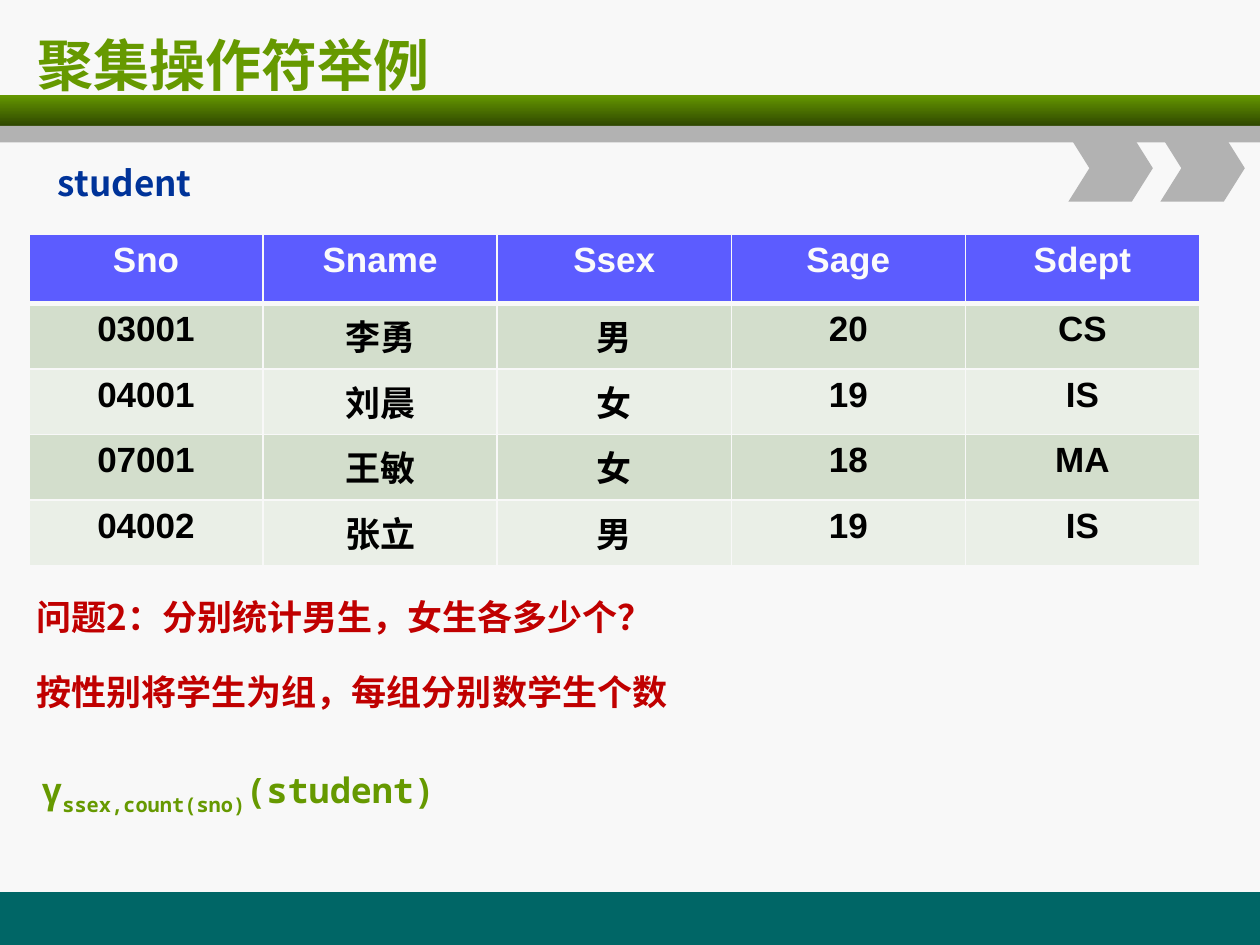
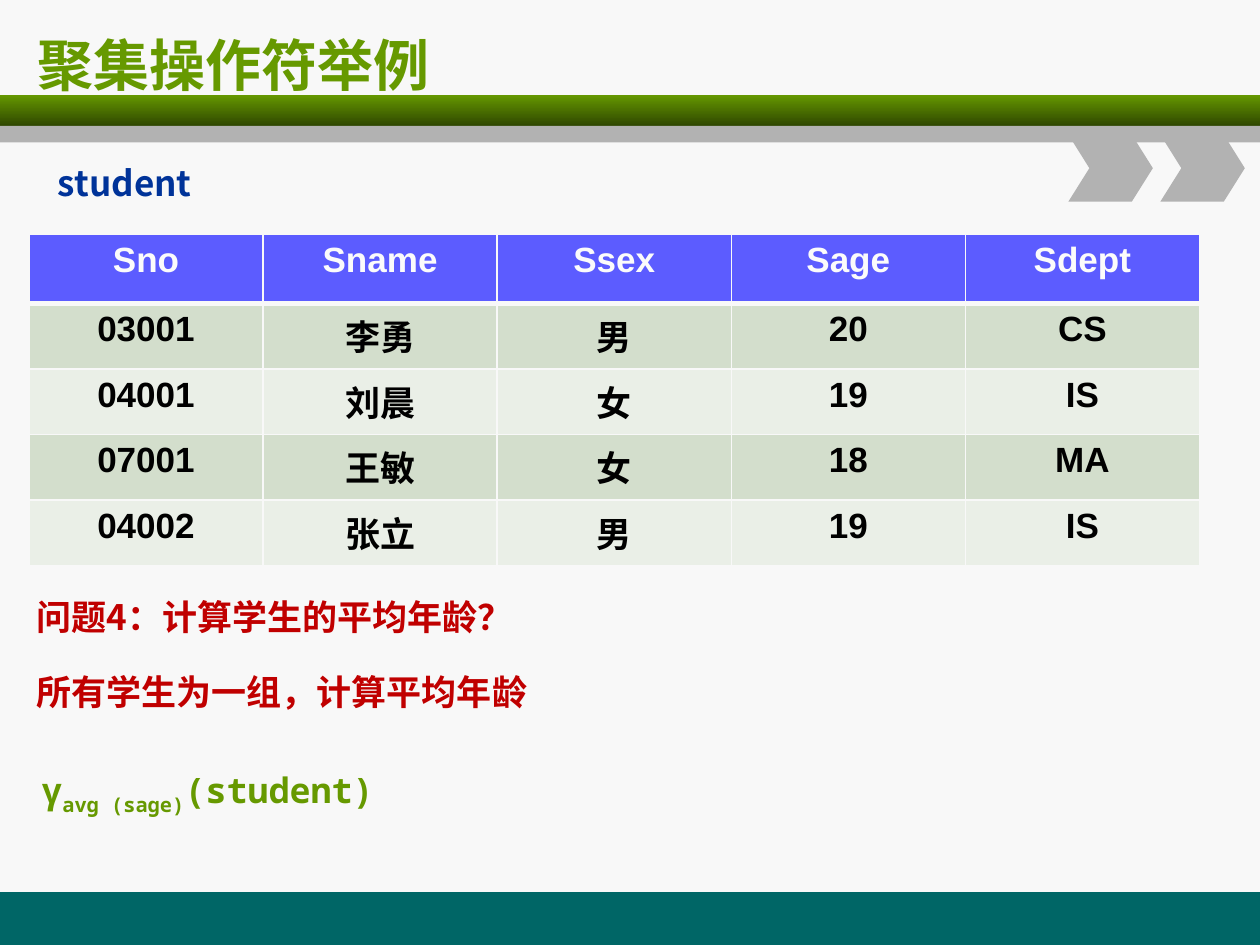
from lxml import etree
from pptx import Presentation
from pptx.dml.color import RGBColor
from pptx.enum import shapes, text
from pptx.oxml.ns import qn
from pptx.util import Inches, Pt

GREEN, DARK_GREEN, TEAL, GRAY = "669900", "2F4700", "006666", "B2B2B2"
PAPER, NAVY, RED, BLACK = "F8F8F8", "003399", "C00000", "000000"
HEAD_FILL, HEAD_TEXT = "5C5CFF", "FBFBFB"
ROW_FILLS = ("D3DECC", "EAEFE7")
CJK, MONO, TITLE_FONT, CELL_FONT = "Noto Sans CJK SC", "Noto Sans Mono", "DejaVu Sans", "Arial"

TITLE = "聚集操作符举例"
STUDENTS = [
    ("Sno", "Sname", "Ssex", "Sage", "Sdept"),
    ("03001", "李勇", "男", "20", "CS"),
    ("04001", "刘晨", "女", "19", "IS"),
    ("07001", "王敏", "女", "18", "MA"),
    ("04002", "张立", "男", "19", "IS"),
]
EXAMPLES = [
    ("问题2：分别统计男生，女生各多少个？", "按性别将学生为组，每组分别数学生个数", "ssex,count(sno)"),
    ("问题4：计算学生的平均年龄？", "所有学生为一组，计算平均年龄", "avg (sage)"),
]


def rgb(value):
    return RGBColor.from_string(value)


def add_run(p, words, font, color, size=20, baseline=0):
    r = p.add_run()
    r.text = words
    r.font.name, r.font.size, r.font.bold = font, Pt(size), True
    r.font.color.rgb = rgb(color)
    rPr = r.font._element
    etree.SubElement(rPr, qn("a:ea"), typeface=CJK)
    if baseline:
        rPr.set("baseline", str(baseline * 1000))


def add_text(s, box, runs, font, color, size=20, align=text.PP_ALIGN.LEFT,
             anchor=text.MSO_ANCHOR.TOP):
    tf = s.shapes.add_textbox(*map(Inches, box)).text_frame
    tf.word_wrap = True
    tf.vertical_anchor = anchor
    p = tf.paragraphs[0]
    p.alignment = align
    for words, baseline in runs:
        add_run(p, words, font, color, size, baseline)


def add_block(s, kind, box, color):
    sp = s.shapes.add_shape(kind, *map(Inches, box))
    sp.shadow.inherit = False
    sp.line.fill.background()
    sp.fill.solid()
    sp.fill.fore_color.rgb = rgb(color)
    return sp


def add_frame(s):
    rect = shapes.MSO_SHAPE.RECTANGLE
    add_block(s, rect, (0, 7.08, 10, 0.42), TEAL)
    band = add_block(s, rect, (0, 0.75, 10, 0.25), GREEN)
    band.fill.gradient()
    band.fill.gradient_angle = 270
    for stop, color in zip(band.fill.gradient_stops, (GREEN, DARK_GREEN)):
        stop.color.rgb = rgb(color)
    add_block(s, rect, (0, 1, 10, 0.13), GRAY)
    for left in (8.48, 9.21):
        chevron = add_block(s, shapes.MSO_SHAPE.CHEVRON, (left, 1.07, 0.67, 0.53), GRAY)
        chevron.adjustments[0] = 0.314
    add_text(s, (0.2, 0.17, 9.55, 0.67), [(TITLE, 0)], TITLE_FONT, GREEN, 32,
             anchor=text.MSO_ANCHOR.MIDDLE)


def set_borders(cell, top, bottom):
    tcPr = cell._tc.get_or_add_tcPr()
    for side, width in (("L", 1), ("R", 1), ("T", top), ("B", bottom)):
        ln = etree.SubElement(tcPr, qn(f"a:ln{side}"), w=str(Pt(width)))
        fill = etree.SubElement(ln, qn("a:solidFill"))
        etree.SubElement(fill, qn("a:srgbClr"), val=PAPER)


def add_student_table(s):
    frame = s.shapes.add_table(len(STUDENTS), len(STUDENTS[0]), Inches(0.23), Inches(1.86),
                               Inches(9.29), Inches(2.63))
    table = frame.table
    for i, record in enumerate(STUDENTS):
        header = i == 0
        table.rows[i].height = Inches(0.55 if header else 0.52)
        for j, value in enumerate(record):
            cell = table.cell(i, j)
            set_borders(cell, 3 if i == 1 else 1, 3 if header else 1)
            cell.fill.solid()
            cell.fill.fore_color.rgb = rgb(HEAD_FILL if header else ROW_FILLS[(i - 1) % 2])
            p = cell.text_frame.paragraphs[0]
            p.alignment = text.PP_ALIGN.CENTER
            add_run(p, value, CELL_FONT, HEAD_TEXT if header else BLACK)


def add_example(prs, question, method, grouping):
    s = prs.slides.add_slide(prs.slide_layouts[6])
    add_frame(s)
    add_student_table(s)
    add_text(s, (0.03, 1.23, 1.59, 0.44), [("student", 0)], CJK, NAVY,
             align=text.PP_ALIGN.RIGHT)
    for top, words in ((4.68, question), (5.27, method)):
        add_text(s, (0.19, top, 7.33, 0.44), [(words, 0)], CJK, RED)
    formula = [("γ", 0), (grouping, -25), ("(student)", 0)]
    add_text(s, (0.23, 6.05, 7.33, 0.44), formula, MONO, GREEN)


def main():
    prs = Presentation()
    prs.slide_width, prs.slide_height = Inches(10), Inches(7.5)
    background = prs.slide_master.background.fill
    background.solid()
    background.fore_color.rgb = rgb(PAPER)
    for example in EXAMPLES:
        add_example(prs, *example)
    prs.save("out.pptx")


if __name__ == "__main__":
    main()
